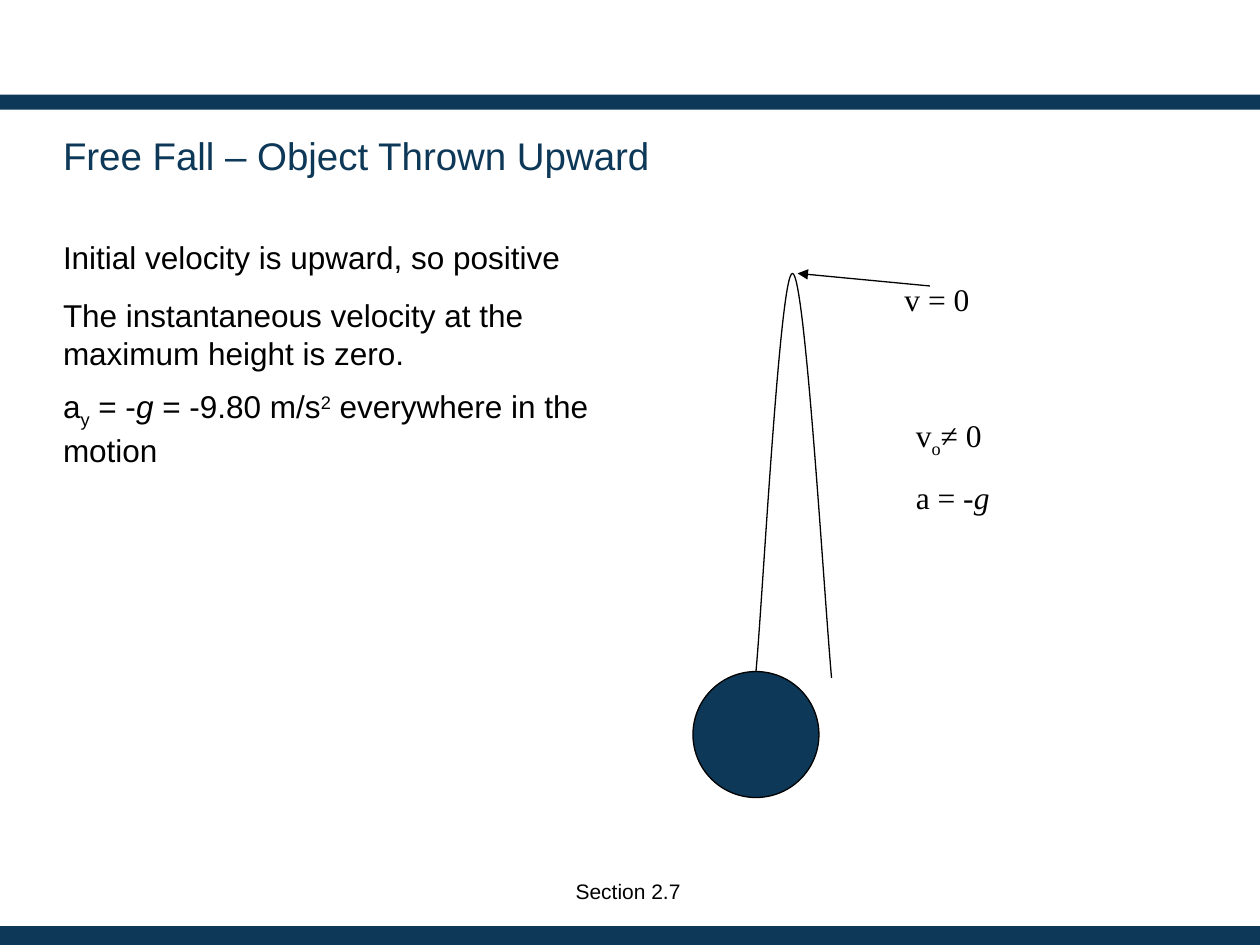
"""Build a slide on the free fall of an object thrown upward."""
from dataclasses import dataclass
from typing import Optional

import lxml.etree
import pptx
import pptx.dml.color
import pptx.enum.shapes
import pptx.enum.text
import pptx.oxml.ns
import pptx.util

COLORS = {"navy": "0D3857", "black": "000000", "white": "FFFFFF"}
COLUMNS, ROWS = 100, 75
WIDTH, HEIGHT = pptx.util.Inches(10), pptx.util.Inches(7.5)
SUBSCRIPT, SUPERSCRIPT = -25, 30
LINE_WIDTH = 0.75
ALIGN = pptx.enum.text.PP_ALIGN
ANCHOR = pptx.enum.text.MSO_ANCHOR
SHAPE = pptx.enum.shapes.MSO_SHAPE


@dataclass(frozen=True)
class Area:
    column: float
    row: float
    columns: float
    rows: float

    def lengths(self) -> tuple[int, int, int, int]:
        return (*place(self.column, self.row), *place(self.columns, self.rows))


@dataclass(frozen=True)
class Span:
    text: str
    italic: bool = False
    baseline: int = 0


@dataclass(frozen=True)
class Solid:
    kind: SHAPE
    area: Area
    outline: Optional[str] = None


SOLIDS = [
    Solid(SHAPE.RECTANGLE, Area(0, 7.5, COLUMNS, 1.2)),
    Solid(SHAPE.RECTANGLE, Area(0, 73.5, COLUMNS, 1.5)),
    Solid(SHAPE.OVAL, Area(55, 53.3, 10, 10), "black"),
]
TITLE = [[Span("Free Fall – Object Thrown Upward")]]
BODY = [
    [Span("Initial velocity is upward, so positive")],
    [Span("The instantaneous velocity at the maximum height is zero.")],
    [Span("a"), Span("y", baseline=SUBSCRIPT), Span(" = -"), Span("g ", italic=True),
     Span("= -9.80 m/s"), Span("2", baseline=SUPERSCRIPT),
     Span(" everywhere in the motion")],
]
PEAK_LABEL = [[Span("v = 0")]]
MOTION_LABEL = [
    [Span("v"), Span("o", baseline=SUBSCRIPT), Span("≠ 0")],
    [Span("a = -"), Span("g", italic=True)],
]
FOOTER = [[Span("Section 2.7")]]
TRAJECTORY = [(60, 53.3), (60.5, 48.1), (61.9, 21.6), (62.9, 21.7),
              (63.9, 21.7), (65.4, 47.1), (66, 53.8)]


def place(column: float, row: float) -> tuple[int, int]:
    return round(WIDTH * column / COLUMNS), round(HEIGHT * row / ROWS)


def color(name: str) -> pptx.dml.color.RGBColor:
    return pptx.dml.color.RGBColor.from_string(COLORS[name])


def draw_line(line, name: str) -> None:
    line.color.rgb = color(name)
    line.width = pptx.util.Pt(LINE_WIDTH)


def add_solid(page, solid: Solid) -> None:
    shape = page.shapes.add_shape(solid.kind, *solid.area.lengths())
    shape.shadow.inherit = False
    shape.fill.solid()
    shape.fill.fore_color.rgb = color("navy")
    if solid.outline:
        draw_line(shape.line, solid.outline)
    else:
        shape.line.fill.background()


def add_text(page, paragraphs: list[list[Span]], area: Area, *, size: float = 18,
             font: str = "Arial", ink: str = "black", inset: bool = True,
             anchor: ANCHOR = ANCHOR.TOP, align: ALIGN = ALIGN.LEFT,
             line_spacing: Optional[float] = None, gap: float = 11.2) -> None:
    frame = page.shapes.add_textbox(*area.lengths()).text_frame
    frame.word_wrap = True
    frame.vertical_anchor = anchor
    if not inset:
        frame.margin_left = frame.margin_right = 0
        frame.margin_top = frame.margin_bottom = 0
    for index, spans in enumerate(paragraphs):
        para = frame.add_paragraph() if index else frame.paragraphs[0]
        para.alignment = align
        if index:
            para.space_before = pptx.util.Pt(gap)
        if line_spacing:
            para.line_spacing = pptx.util.Pt(line_spacing)
        for span in spans:
            run = para.add_run()
            run.text = span.text
            run.font.name = font
            run.font.size = pptx.util.Pt(size)
            run.font.color.rgb = color(ink)
            if span.italic:
                run.font.italic = True
            if span.baseline:
                run._r.get_or_add_rPr().set("baseline", str(span.baseline * 1000))


def add_curve(page, points: list[tuple[float, float]]) -> None:
    start, *others = [place(*point) for point in points]
    builder = page.shapes.build_freeform(*start)
    builder.add_line_segments(others, close=False)
    shape = builder.convert_to_shape()
    shape.shadow.inherit = False
    shape.fill.background()
    draw_line(shape.line, "black")
    segments = list(shape._element.iter(pptx.oxml.ns.qn("a:lnTo")))
    outline = segments[0].getparent()
    for first in range(0, len(segments), 3):
        bezier = lxml.etree.SubElement(outline, pptx.oxml.ns.qn("a:cubicBezTo"))
        for segment in segments[first:first + 3]:
            bezier.append(segment[0])
            outline.remove(segment)


def add_arrow(page, start: tuple[float, float], end: tuple[float, float]) -> None:
    arrow = page.shapes.add_connector(
        pptx.enum.shapes.MSO_CONNECTOR.STRAIGHT, *place(*start), *place(*end))
    draw_line(arrow.line, "black")
    lxml.etree.SubElement(arrow.line._get_or_add_ln(),
                          pptx.oxml.ns.qn("a:tailEnd"), type="triangle")
    lxml.etree.SubElement(arrow._element.spPr, pptx.oxml.ns.qn("a:effectLst"))


def main() -> None:
    deck = pptx.Presentation()
    deck.slide_width, deck.slide_height = WIDTH, HEIGHT
    page = deck.slides.add_slide(deck.slide_layouts[6])
    page.background.fill.solid()
    page.background.fill.fore_color.rgb = color("white")
    for solid in SOLIDS:
        add_solid(page, solid)
    add_text(page, TITLE, Area(5, 9.2, 82.5, 6.3), size=22, ink="navy",
             inset=False, anchor=ANCHOR.MIDDLE)
    add_text(page, BODY, Area(5, 18.8, 44.1, 48.2), inset=False, line_spacing=22)
    add_curve(page, TRAJECTORY)
    add_text(page, PEAK_LABEL, Area(70.8, 21.7, 15.8, 4), font="Times New Roman")
    add_arrow(page, (73.8, 22.7), (63.3, 21.7))
    add_text(page, MOTION_LABEL, Area(71.7, 32.5, 13.3, 9), font="Times New Roman")
    add_text(page, FOOTER, Area(39.2, 69.2, 15.8, 3), size=12, align=ALIGN.RIGHT)
    deck.save("out.pptx")


if __name__ == "__main__":
    main()
